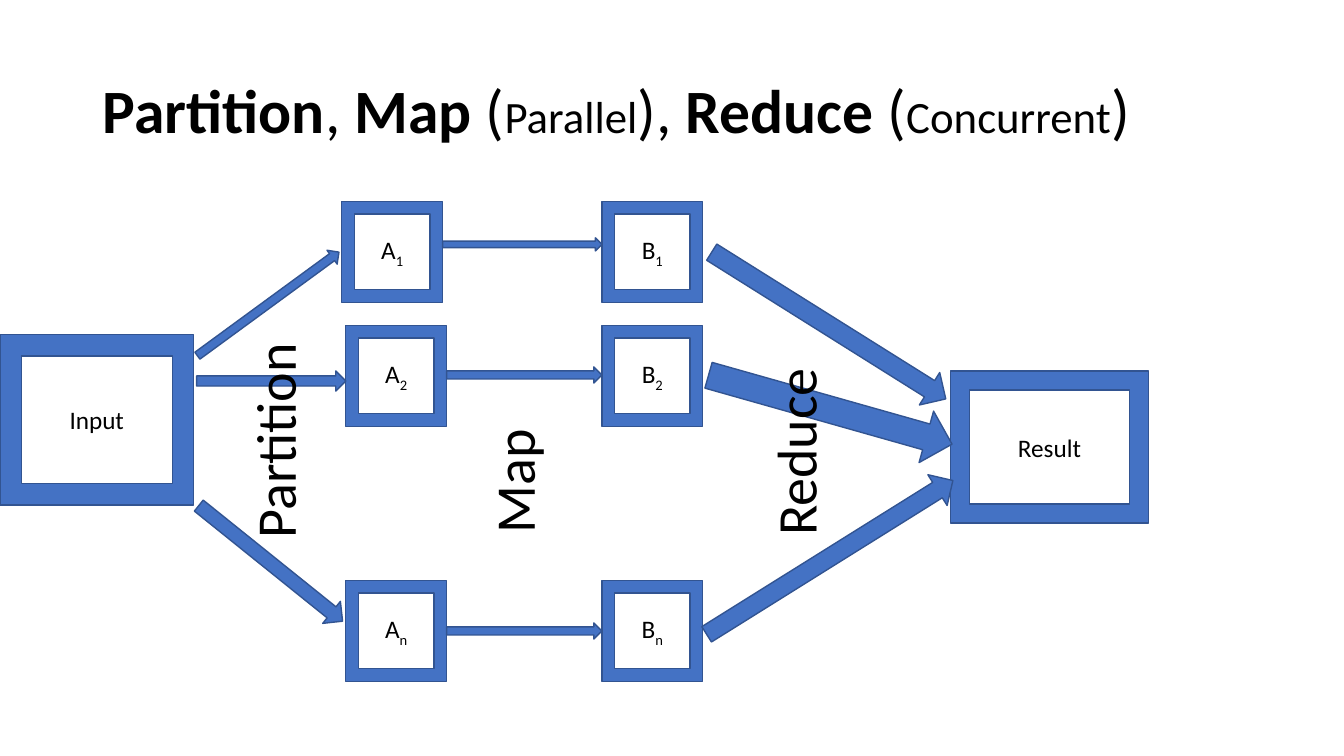
from pptx import Presentation
from pptx.dml.color import RGBColor
from pptx.enum.shapes import MSO_SHAPE as Shape
from pptx.enum.text import MSO_ANCHOR as Anchor, MSO_AUTO_SIZE as AutoSize, PP_ALIGN as Align
from pptx.util import Pt

PX = 9144  # EMU in one px, 100 px to the inch
BLUE = RGBColor(0x44, 0x72, 0xC4)
EDGE = RGBColor(0x32, 0x54, 0x91)
BLACK = RGBColor(0, 0, 0)


class Diagram:
    font = "Calibri"

    def __init__(self, slide):
        self.shapes = slide.shapes

    def style(self, paragraph, size):
        paragraph.font.name = self.font
        paragraph.font.size = Pt(size)
        paragraph.font.color.rgb = BLACK

    def block(self, kind, box):
        block = self.shapes.add_shape(kind, *(n * PX for n in box))
        block.shadow.inherit = False
        block.fill.solid()
        block.fill.fore_color.rgb = BLUE
        block.line.color.rgb = EDGE
        block.line.width = Pt(1)
        return block

    def frame(self, box, name, index=""):
        text = self.block(Shape.FRAME, box).text_frame
        text.vertical_anchor = Anchor.MIDDLE
        paragraph = text.paragraphs[0]
        paragraph.alignment = Align.CENTER
        self.style(paragraph, 18)
        paragraph.add_run().text = name
        if index:
            subscript = paragraph.add_run()
            subscript.text = index
            subscript.font._element.set("baseline", "-25000")

    def arrow(self, box, angle=0):
        self.block(Shape.RIGHT_ARROW, box).rotation = angle

    def text_box(self, box):
        return self.shapes.add_textbox(*(n * PX for n in box))

    def title(self, box, pieces):
        text = self.text_box(box).text_frame
        text.word_wrap = True
        text.vertical_anchor = Anchor.MIDDLE
        paragraph = text.paragraphs[0]
        paragraph.line_spacing = 0.9
        self.style(paragraph, 44)
        for words, size, bold in pieces:
            run = paragraph.add_run()
            run.text = words
            run.font.size = Pt(size)
            run.font.bold = bold

    def stage(self, box, name):
        label = self.text_box(box)
        label.rotation = 270
        text = label.text_frame
        text.word_wrap = False
        text.auto_size = AutoSize.SHAPE_TO_FIT_TEXT
        text.text = name
        self.style(text.paragraphs[0], 40)


def main():
    deck = Presentation()
    deck.slide_width, deck.slide_height = 1333 * PX, 750 * PX
    diagram = Diagram(deck.slides.add_slide(deck.slide_layouts[6]))

    diagram.title((92, 40, 1150, 145), [
        ("Partition", 44, True), (", ", 44, False), ("Map", 44, True),
        (" (", 44, False), ("Parallel", 32, False), ("), ", 44, False),
        ("Reduce", 44, True), (" (", 44, False),
        ("Concurrent", 32, False), (")", 44, False),
    ])

    # Map: each row goes from an A frame to its B frame
    side, b_left = 100, 597
    for index, a_left, top, arrow_top, arrow_height in [
        ("1", 339, 200, 236, 13),
        ("2", 343, 323, 364, 16),
        ("n", 343, 576, 618, 16),
    ]:
        diagram.frame((a_left, top, side, side), "A", index)
        diagram.frame((b_left, top, side, side), "B", index)
        a_right = a_left + side
        diagram.arrow((a_right, arrow_top, b_left - a_right, arrow_height))

    # Both ends of the flow
    diagram.frame((943, 368, 196, 151), "Result")
    diagram.frame((0, 332, 192, 169), "Input")

    # Partition arrows
    diagram.arrow((179, 293, 174, 17), 323.8)
    diagram.arrow((195, 368, 148, 20))
    diagram.arrow((177, 545, 183, 28), 38.8)

    # Reduce arrows
    diagram.arrow((685, 304, 274, 38), 32.1)
    diagram.arrow((679, 535, 288, 36), 328)
    diagram.arrow((698, 380, 251, 53), 15.8)

    # Stage names, read upwards
    diagram.stage((446, 438, 125, 77), "Map")
    diagram.stage((163, 397, 217, 77), "Partition")
    diagram.stage((694, 409, 188, 77), "Reduce")

    deck.save("out.pptx")


if __name__ == "__main__":
    main()
